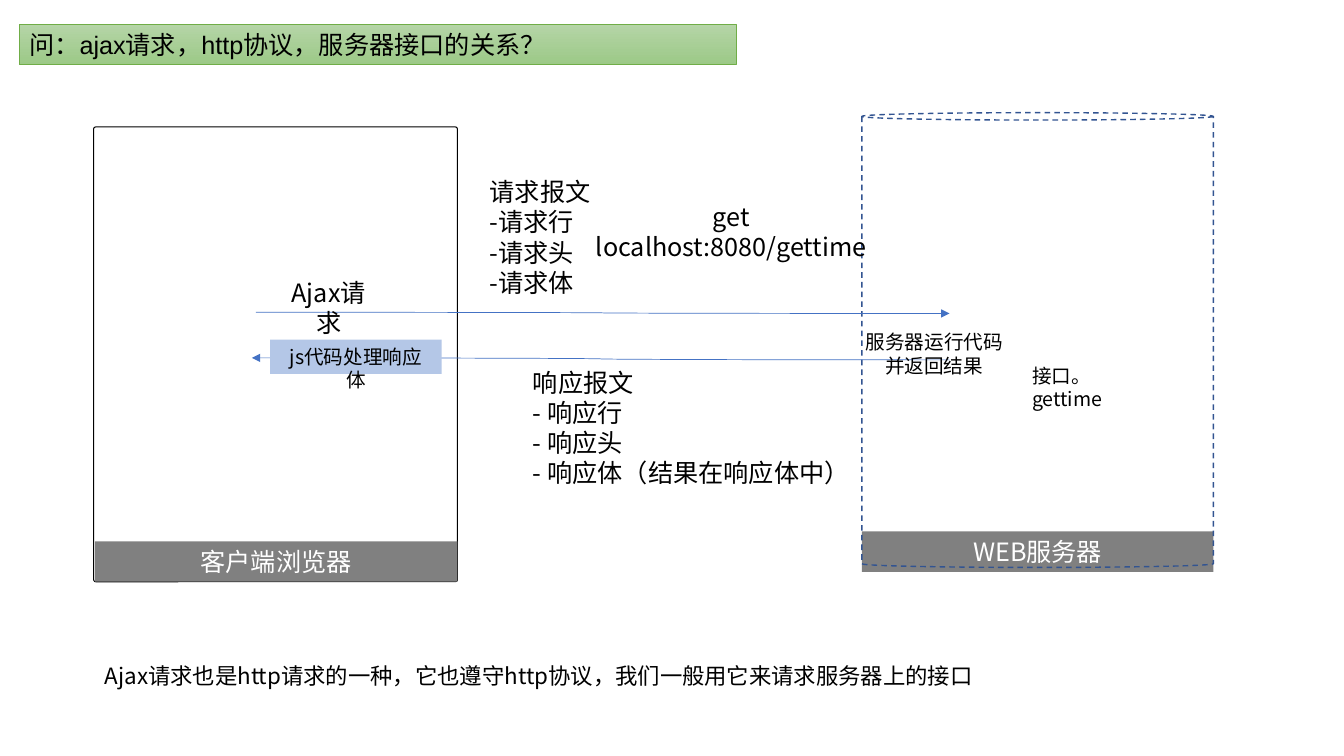
"""Build a slide on how an ajax request, HTTP and a server interface relate."""
from lxml import etree
from pptx import Presentation
from pptx.dml.color import RGBColor
from pptx.enum.dml import MSO_LINE
from pptx.enum.shapes import MSO_CONNECTOR, MSO_SHAPE
from pptx.enum.text import MSO_ANCHOR, MSO_AUTO_SIZE, PP_ALIGN
from pptx.oxml.ns import qn
from pptx.util import Cm, Pt

RECT, ROUNDED, CAN = MSO_SHAPE.RECTANGLE, MSO_SHAPE.ROUNDED_RECTANGLE, MSO_SHAPE.CAN
CURVE, DASH = MSO_CONNECTOR.CURVE, MSO_LINE.DASH
LEFT, CENTER = PP_ALIGN.LEFT, PP_ALIGN.CENTER
TOP, NO_FIT = MSO_ANCHOR.TOP, MSO_AUTO_SIZE.NONE
TITLE_ONLY = 5


def colour(value):
    """Turn a hex string into a colour."""
    return RGBColor.from_string(value)


def write(shape, text, size=18, color="000000", align=LEFT, font="Noto Sans CJK SC"):
    """Write one paragraph per line of text into a shape."""
    frame = shape.text_frame
    frame.word_wrap = True
    frame.auto_size = NO_FIT
    frame.vertical_anchor = TOP
    for index, line in enumerate(text.split("\n")):
        para = frame.add_paragraph() if index else frame.paragraphs[0]
        para.alignment = align
        para.line_spacing = 1.0
        span = para.add_run()
        span.text = line
        span.font.size = Pt(size)
        span.font.name = font
        span.font.color.rgb = colour(color)
        east_asian = etree.SubElement(span.font._element, qn("a:ea"))
        east_asian.set("typeface", Sketch.font)


class Sketch:
    """Hold the style and the current slide."""

    font = "Noto Sans CJK SC"
    arrow_color = "4472C4"
    bar_color = "808080"

    def __init__(self, deck):
        """Add a title-only slide to the deck."""
        self.page = deck.slides.add_slide(deck.slide_layouts[TITLE_ONLY])

    def title(self, text, left, top, width, height):
        """Place the title on a green gradient band."""
        band = self.page.shapes.title
        band.left, band.top = Cm(left), Cm(top)
        band.width, band.height = Cm(width), Cm(height)
        band.fill.gradient()
        band.fill.gradient_angle = 270
        for stop, shade in zip(band.fill.gradient_stops, ("B5D5A7", "9CC987")):
            stop.color.rgb = colour(shade)
        band.line.color.rgb = colour("70AD47")
        band.line.width = Pt(0.5)
        write(band, text, font="Arial")

    def shape(self, kind, left, top, width, height, fill=None, line=None, weight=1.0):
        """Add a preset shape with an optional fill and outline."""
        box = self.page.shapes.add_shape(kind, Cm(left), Cm(top), Cm(width), Cm(height))
        box.shadow.inherit = False
        if fill:
            box.fill.solid()
            box.fill.fore_color.rgb = colour(fill)
        else:
            box.fill.background()
        if line:
            box.line.color.rgb = colour(line)
            box.line.width = Pt(weight)
        else:
            box.line.fill.background()
        return box

    def bar(self, text, left, top, width):
        """Add a grey name bar."""
        write(self.shape(RECT, left, top, width, 1.02, fill=self.bar_color),
              text, color="FFFFFF", align=CENTER)

    def label(self, text, left, top, width, height, **style):
        """Add a text box."""
        box = self.page.shapes.add_textbox(Cm(left), Cm(top), Cm(width), Cm(height))
        write(box, text, **style)

    def arrow(self, x1, y1, x2, y2):
        """Add a curved arrow."""
        link = self.page.shapes.add_connector(CURVE, Cm(x1), Cm(y1), Cm(x2), Cm(y2))
        link.line.color.rgb = colour(self.arrow_color)
        link.line.width = Pt(0.5)
        etree.SubElement(link.line._get_or_add_ln(), qn("a:tailEnd"), type="triangle")
        etree.SubElement(link._element.spPr, qn("a:effectLst"))


def main():
    """Build and save the deck."""
    deck = Presentation()
    deck.slide_width, deck.slide_height = Cm(33.87), Cm(19.05)
    sketch = Sketch(deck)

    sketch.bar("WEB服务器", 21.72, 13.39, 8.86)
    sketch.title("问：ajax请求，http协议，服务器接口的关系？", 0.48, 0.61, 18.08, 1.02)
    client = sketch.shape(ROUNDED, 2.36, 3.2, 9.17, 11.46, line="000000", weight=0.75)
    client.adjustments[0] = 0.006
    server = sketch.shape(CAN, 21.72, 2.84, 8.86, 11.46, line="325491")
    server.adjustments[0] = 0.021
    server.line.dash_style = DASH
    sketch.label("接口。gettime", 25.76, 9.04, 3.66, 0.86, size=14)
    sketch.bar("客户端浏览器", 2.39, 13.64, 9.14)

    sketch.label("get localhost:8080/gettime", 14.48, 4.95, 7.9, 1.02, align=CENTER)
    sketch.arrow(6.45, 7.87, 23.93, 7.9)
    sketch.arrow(23.93, 9.07, 6.35, 9.02)
    sketch.label("Ajax请求", 6.81, 6.86, 2.95, 1.02, align=CENTER)
    handler = sketch.shape(RECT, 6.81, 8.56, 4.32, 0.86, fill="B4C7E7")
    write(handler, "js代码处理响应体", size=14, align=CENTER)
    sketch.label("服务器运行代码\n并返回结果", 21.54, 8.2, 4.01, 1.45, size=14, align=CENTER)

    sketch.label("Ajax请求也是http请求的一种，它也遵守http协议，我们一般用它来请求服务器上的接口",
                 2.39, 16.56, 28.65, 0.94, size=16)
    sketch.label("请求报文\n-请求行\n-请求头\n-请求体", 12.09, 4.32, 3.07, 3.33)
    sketch.label("响应报文\n- 响应行\n- 响应头\n- 响应体（结果在响应体中）", 13.18, 9.12, 8.71, 3.33)
    deck.save("out.pptx")


if __name__ == "__main__":
    main()
